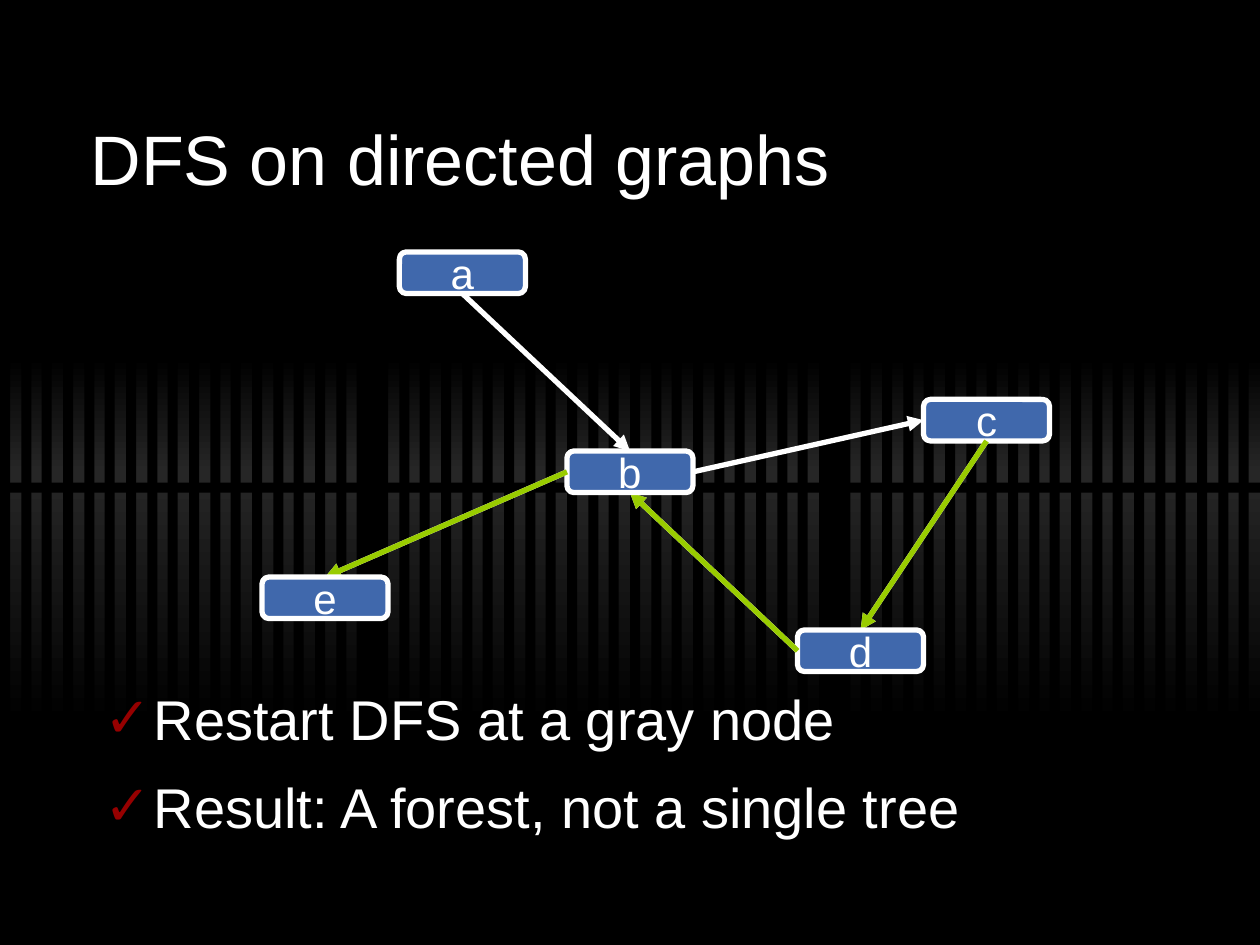
from dataclasses import dataclass

from lxml import etree
from pptx import Presentation
from pptx.dml.color import RGBColor
from pptx.enum.shapes import MSO_CONNECTOR, MSO_SHAPE
from pptx.enum.text import MSO_ANCHOR, MSO_AUTO_SIZE, PP_ALIGN
from pptx.oxml.ns import qn
from pptx.util import Inches, Pt

RECTANGLE = MSO_SHAPE.RECTANGLE
ROUNDED = MSO_SHAPE.ROUNDED_RECTANGLE
STRAIGHT = MSO_CONNECTOR.STRAIGHT
MIDDLE, TOP_ANCHOR = MSO_ANCHOR.MIDDLE, MSO_ANCHOR.TOP
ALIGN_LEFT, ALIGN_CENTER = PP_ALIGN.LEFT, PP_ALIGN.CENTER
NO_AUTOFIT = MSO_AUTO_SIZE.NONE
TOP, LEFT, BOTTOM, RIGHT = range(4)


@dataclass(frozen=True)
class Theme:
    font: str = "Arial"
    background: str = "000000"
    glow: str = "262626"
    text: str = "FFFFFF"
    node: str = "4068AC"
    edge: str = "FFFFFF"
    visited: str = "99CC00"
    check: str = "960000"
    title_size: int = 40
    body_size: int = 32
    node_size: int = 24
    stroke: int = 3


NODES = {
    "c": (7.33, 3.17),
    "d": (6.33, 5),
    "b": (4.5, 3.58),
    "e": (2.08, 4.58),
    "a": (3.17, 2),
}
EDGES = [
    ("a", BOTTOM, "b", TOP),
    ("b", RIGHT, "c", LEFT),
    ("c", BOTTOM, "d", TOP),
    ("d", LEFT, "b", BOTTOM),
    ("b", LEFT, "e", TOP),
]
VISITED_EDGES = EDGES[2:]
WIDE_BARS = {17: 2.83, 40: 6.58}
POINTS = ["Restart DFS at a gray node", "Result: A forest, not a single tree"]


class GraphSlide:
    def __init__(self, deck, theme):
        self.theme = theme
        self.slide = deck.slides.add_slide(deck.slide_layouts[1])
        self.paint(self.slide.background.fill, theme.background)

    def paint(self, fill, color):
        fill.solid()
        fill.fore_color.rgb = RGBColor.from_string(color)

    def style_text(self, paragraph, size):
        font = paragraph.font
        font.name = self.theme.font
        font.size = Pt(size)
        font.color.rgb = RGBColor.from_string(self.theme.text)

    def stroke(self, line, color):
        self.paint(line.fill, color)
        line.width = Pt(self.theme.stroke)

    def place(self, placeholder, left, top, width, height):
        placeholder.left, placeholder.top = Inches(left), Inches(top)
        placeholder.width, placeholder.height = Inches(width), Inches(height)
        frame = placeholder.text_frame
        frame.word_wrap = True
        frame.auto_size = NO_AUTOFIT
        return frame

    def band(self, group, left, top, width, height, colors):
        band = group.shapes.add_shape(
            RECTANGLE, Inches(left), Inches(top), Inches(width), Inches(height)
        )
        band.shadow.inherit = False
        band.line.fill.background()
        if len(colors) == 1:
            self.paint(band.fill, colors[0])
        else:
            band.fill.gradient()
            band.fill.gradient_angle = 270
            for stop, color in zip(band.fill.gradient_stops, colors):
                stop.color.rgb = RGBColor.from_string(color)

    def backdrop(self):
        dark, glow = self.theme.background, self.theme.glow
        group = self.slide.shapes.add_group_shape()
        self.band(group, 0, 2.83, 10, 0.92, [dark, glow])
        self.band(group, 0, 3.75, 10, 2, [glow, dark])
        for index in range(60):
            left = WIDE_BARS.get(index, round(index / 6, 2))
            width = 0.17 if index in WIDE_BARS else 0.08
            self.band(group, left, 2.5, width, 3.92, [dark])
        self.band(group, 0, 3.83, 10, 0.08, [dark])
        self.slide.shapes.title._element.addprevious(group._element)

    def title(self, wording):
        frame = self.place(self.slide.shapes.title, 0.62, 0.75, 8.75, 1)
        frame.vertical_anchor = MIDDLE
        frame.text = wording
        heading = frame.paragraphs[0]
        heading.alignment = ALIGN_LEFT
        self.style_text(heading, self.theme.title_size)

    def checklist(self, points):
        frame = self.place(self.slide.placeholders[1], 0.62, 5.33, 8.75, 2.17)
        frame.vertical_anchor = TOP_ANCHOR
        frame.text = "\n".join(points)
        for point in frame.paragraphs:
            point.alignment = ALIGN_LEFT
            point.line_spacing = 1.1
            point.space_before = Pt(8)
            self.check_bullet(point)
            self.style_text(point, self.theme.body_size)

    def check_bullet(self, point):
        properties = point._p.get_or_add_pPr()
        properties.set("marL", str(Inches(0.5)))
        properties.set("indent", str(Inches(-0.39)))
        bullet_color = etree.SubElement(properties, qn("a:buClr"))
        etree.SubElement(bullet_color, qn("a:srgbClr"), val=self.theme.check)
        etree.SubElement(properties, qn("a:buFont"), typeface=self.theme.font)
        etree.SubElement(properties, qn("a:buChar"), char="✓")

    def node(self, label, left, top):
        node = self.slide.shapes.add_shape(
            ROUNDED, Inches(left), Inches(top), Inches(1), Inches(0.33)
        )
        node.shadow.inherit = False
        self.paint(node.fill, self.theme.node)
        self.stroke(node.line, self.theme.edge)
        frame = node.text_frame
        frame.word_wrap = False
        frame.vertical_anchor = MIDDLE
        frame.text = label
        caption = frame.paragraphs[0]
        caption.alignment = ALIGN_CENTER
        self.style_text(caption, self.theme.node_size)
        return node

    def edge(self, source, source_side, target, target_side, color):
        edge = self.slide.shapes.add_connector(STRAIGHT, 0, 0, 0, 0)
        edge.begin_connect(source, source_side)
        edge.end_connect(target, target_side)
        self.stroke(edge.line, color)
        etree.SubElement(edge.line._get_or_add_ln(), qn("a:tailEnd"), type="triangle")
        etree.SubElement(edge._element.spPr, qn("a:effectLst"))
        target._element.addprevious(edge._element)


def main():
    deck = Presentation()
    deck.slide_width, deck.slide_height = Inches(10), Inches(7.5)
    theme = Theme()
    page = GraphSlide(deck, theme)
    page.backdrop()
    page.title("DFS on directed graphs")
    page.checklist(POINTS)
    nodes = {label: page.node(label, *corner) for label, corner in NODES.items()}
    for edges, color in ((EDGES, theme.edge), (VISITED_EDGES, theme.visited)):
        for source, source_side, target, target_side in edges:
            page.edge(nodes[source], source_side, nodes[target], target_side, color)
    deck.save("out.pptx")


if __name__ == "__main__":
    main()
